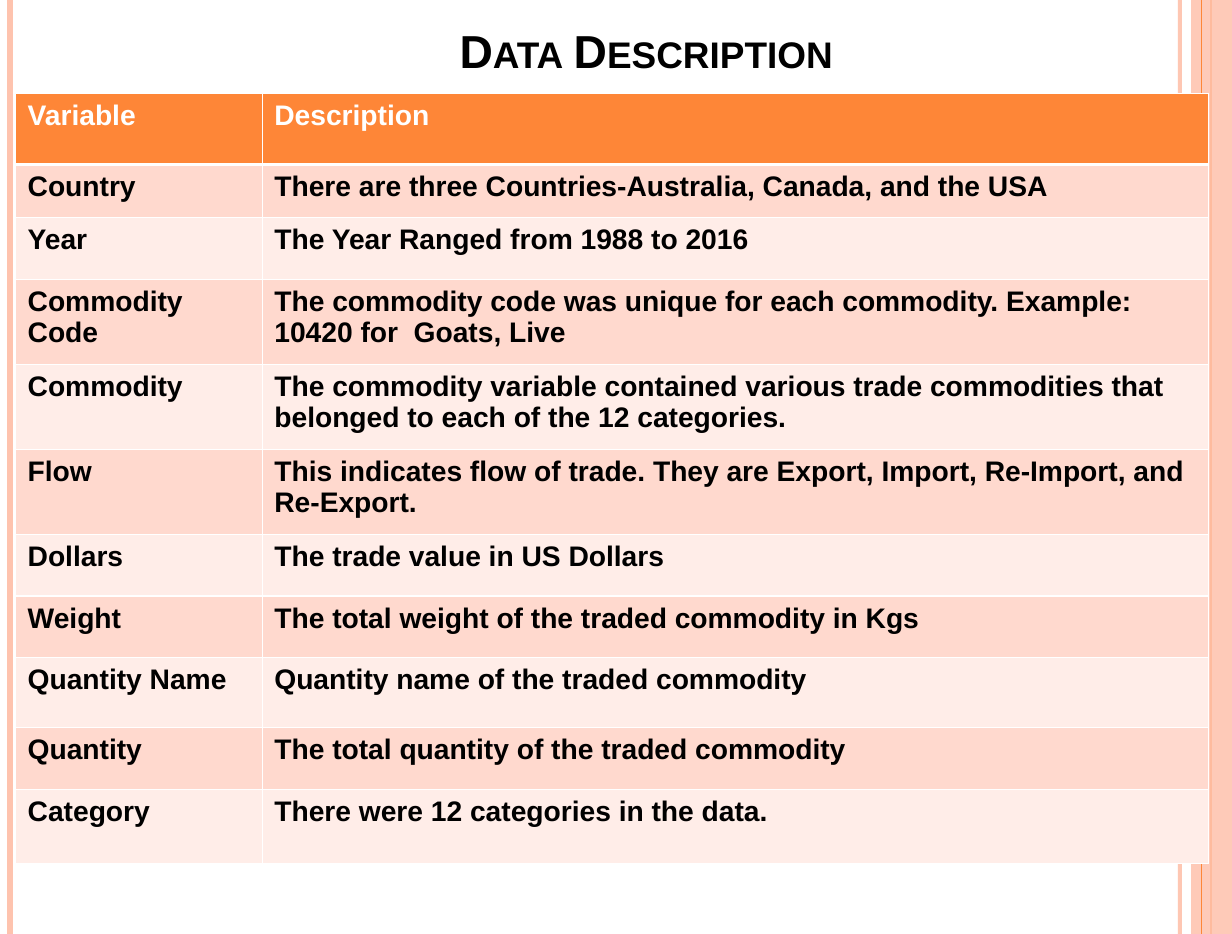
from dataclasses import dataclass

from lxml.etree import SubElement
from pptx import Presentation
from pptx.dml.color import RGBColor
from pptx.enum.shapes import MSO_CONNECTOR as Link, MSO_SHAPE as Preset
from pptx.enum.text import MSO_ANCHOR as Anchor, PP_ALIGN as Align
from pptx.oxml.ns import qn
from pptx.util import Emu, Inches, Pt

WIDTH, HEIGHT = Emu(12192000), Emu(9239250)
ORANGE, PEACH, WHITE, BLACK = "FE8637", "FEC3AE", "FFFFFF", "000000"
BANDS = ("FFD9CE", "FFEDE8")


@dataclass
class Stripe:
    x: float
    color: str
    weight: float
    alpha: int = 100


@dataclass
class Entry:
    name: str
    about: str
    height: float


BACK = [
    Stripe(12.77, PEACH, 3, 93),
    Stripe(0.11, PEACH, 4.5),
    Stripe(13.11, ORANGE, 1.5),
]
FRONT = Stripe(13, ORANGE, 0.75)
ENTRIES = [
    Entry("Variable", "Description", 0.77),
    Entry("Country", "There are three Countries-Australia, Canada, and the USA", 0.57),
    Entry("Year", "The Year Ranged from 1988 to 2016", 0.67),
    Entry("Commodity Code", "The commodity code was unique for each commodity. "
          "Example: 10420 for  Goats, Live", 0.92),
    Entry("Commodity", "The commodity variable contained various trade commodities "
          "that belonged to each of the 12 categories.", 0.92),
    Entry("Flow", "This indicates flow of trade. They are Export, Import, "
          "Re-Import, and Re-Export.", 0.92),
    Entry("Dollars", "The trade value in US Dollars", 0.67),
    Entry("Weight", "The total weight of the traded commodity in Kgs", 0.67),
    Entry("Quantity Name", "Quantity name of the traded commodity", 0.75),
    Entry("Quantity", "The total quantity of the traded commodity", 0.67),
    Entry("Category", "There were 12 categories in the data.", 0.8),
]


def paint(target, color: str, alpha: int = 100) -> None:
    """Give a fill a solid colour; alpha is a percentage."""
    target.solid()
    target.fore_color.rgb = RGBColor.from_string(color)
    if alpha < 100:
        tint = target._xPr.find(qn("a:solidFill"))[0]
        SubElement(tint, qn("a:alpha"), val=str(alpha * 1000))


def write(frame, text: str, *, size: float, color: str,
          align=Align.LEFT, caps: bool = False) -> None:
    frame.word_wrap = True
    para = frame.paragraphs[0]
    para.alignment = align
    run = para.add_run()
    run.text = text
    font = run.font
    font.name, font.size, font.bold = "Arial", Pt(size), True
    font.color.rgb = RGBColor.from_string(color)
    if caps:
        run._r.get_or_add_rPr().set("cap", "small")


def pad(box) -> None:
    box.margin_left = box.margin_right = Inches(0.13)
    box.margin_top = box.margin_bottom = Inches(0.07)


def border(cell, top: float, bottom: float) -> None:
    props = cell._tc.get_or_add_tcPr()
    for side, weight in zip("LRTB", (1, 1, top, bottom)):
        edge = SubElement(props, qn(f"a:ln{side}"), w=str(Pt(weight)))
        fill = SubElement(edge, qn("a:solidFill"))
        SubElement(fill, qn("a:srgbClr"), val=WHITE)


def add_stripe(slide, stripe: Stripe) -> None:
    x = Inches(stripe.x)
    line = slide.shapes.add_connector(Link.STRAIGHT, x, 0, x, HEIGHT)
    line.line.width = Pt(stripe.weight)
    paint(line.line.fill, stripe.color, stripe.alpha)
    SubElement(line._element.spPr, qn("a:effectLst"))


def add_band(slide) -> None:
    left = Inches(12.89)
    band = slide.shapes.add_shape(Preset.RECTANGLE, left, 0, WIDTH - left, HEIGHT)
    band.shadow.inherit = False
    band.line.fill.background()
    paint(band.fill, PEACH, 87)


def set_title(slide) -> None:
    title = slide.shapes.title
    title.left, title.top = Inches(1.33), Inches(-0.03)
    title.width, title.height = Inches(11.33), Inches(0.94)
    frame = title.text_frame
    frame.vertical_anchor = Anchor.BOTTOM
    pad(frame)
    write(frame, "Data Description", size=36, color=BLACK,
          align=Align.CENTER, caps=True)


def add_grid(slide) -> None:
    total = sum(entry.height for entry in ENTRIES)
    grid = slide.shapes.add_table(len(ENTRIES), 2, Inches(0.17), Inches(1.01),
                                  Inches(12.91), Inches(total)).table
    grid.columns[0].width, grid.columns[1].width = Inches(2.67), Inches(10.24)
    for row, entry in enumerate(ENTRIES):
        grid.rows[row].height = Inches(entry.height)
        head = row == 0
        for col, text in enumerate((entry.name, entry.about)):
            cell = grid.cell(row, col)
            pad(cell)
            border(cell, top=3 if row == 1 else 1, bottom=3 if head else 1)
            paint(cell.fill, ORANGE if head else BANDS[(row - 1) % 2])
            write(cell.text_frame, text, size=22, color=WHITE if head else BLACK)


def main() -> None:
    deck = Presentation()
    deck.slide_width, deck.slide_height = WIDTH, HEIGHT
    slide = deck.slides.add_slide(deck.slide_layouts[5])
    paint(slide.background.fill, WHITE)
    for stripe in BACK:
        add_stripe(slide, stripe)
    add_band(slide)
    add_stripe(slide, FRONT)
    set_title(slide)
    add_grid(slide)
    deck.save("out.pptx")


if __name__ == "__main__":
    main()
